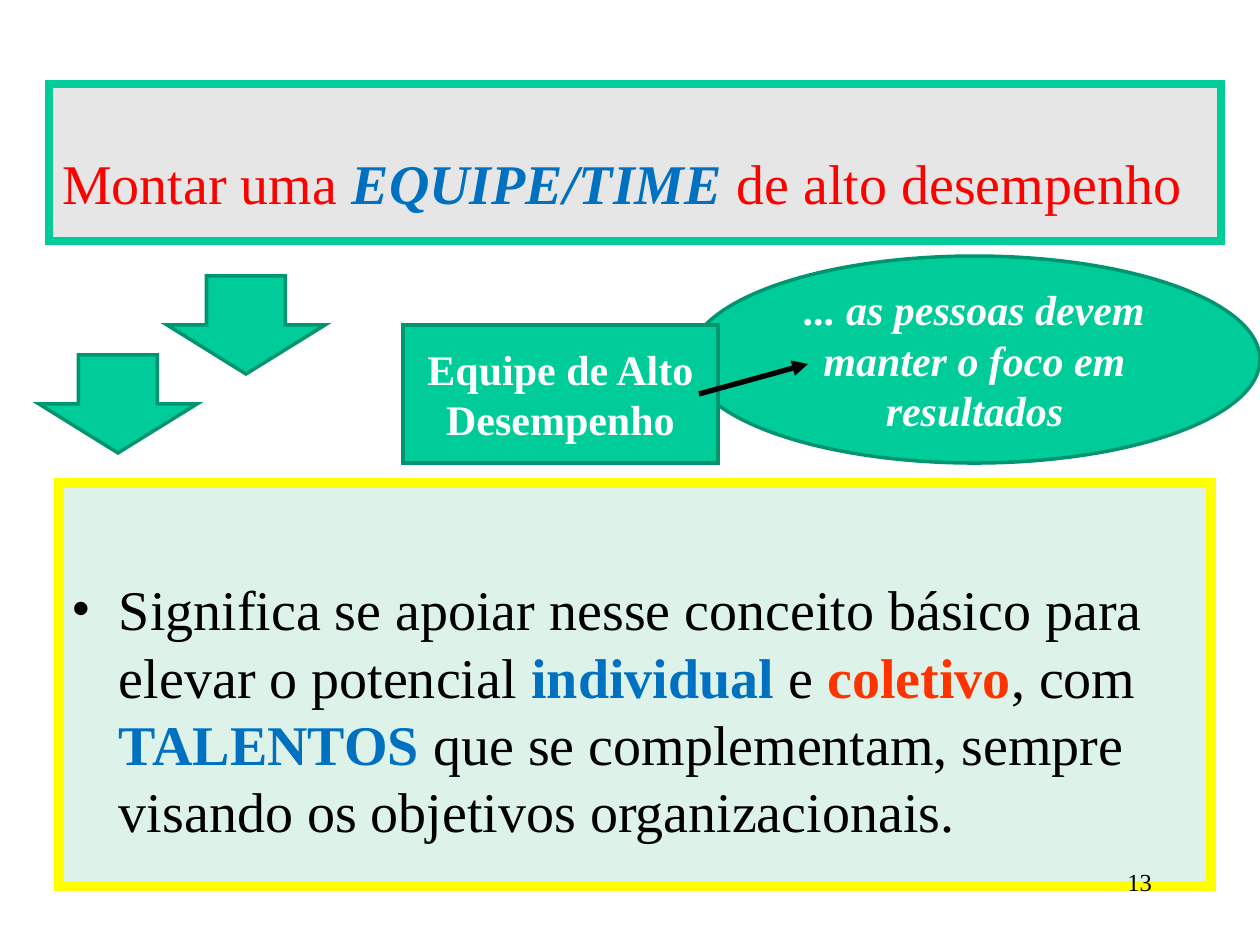
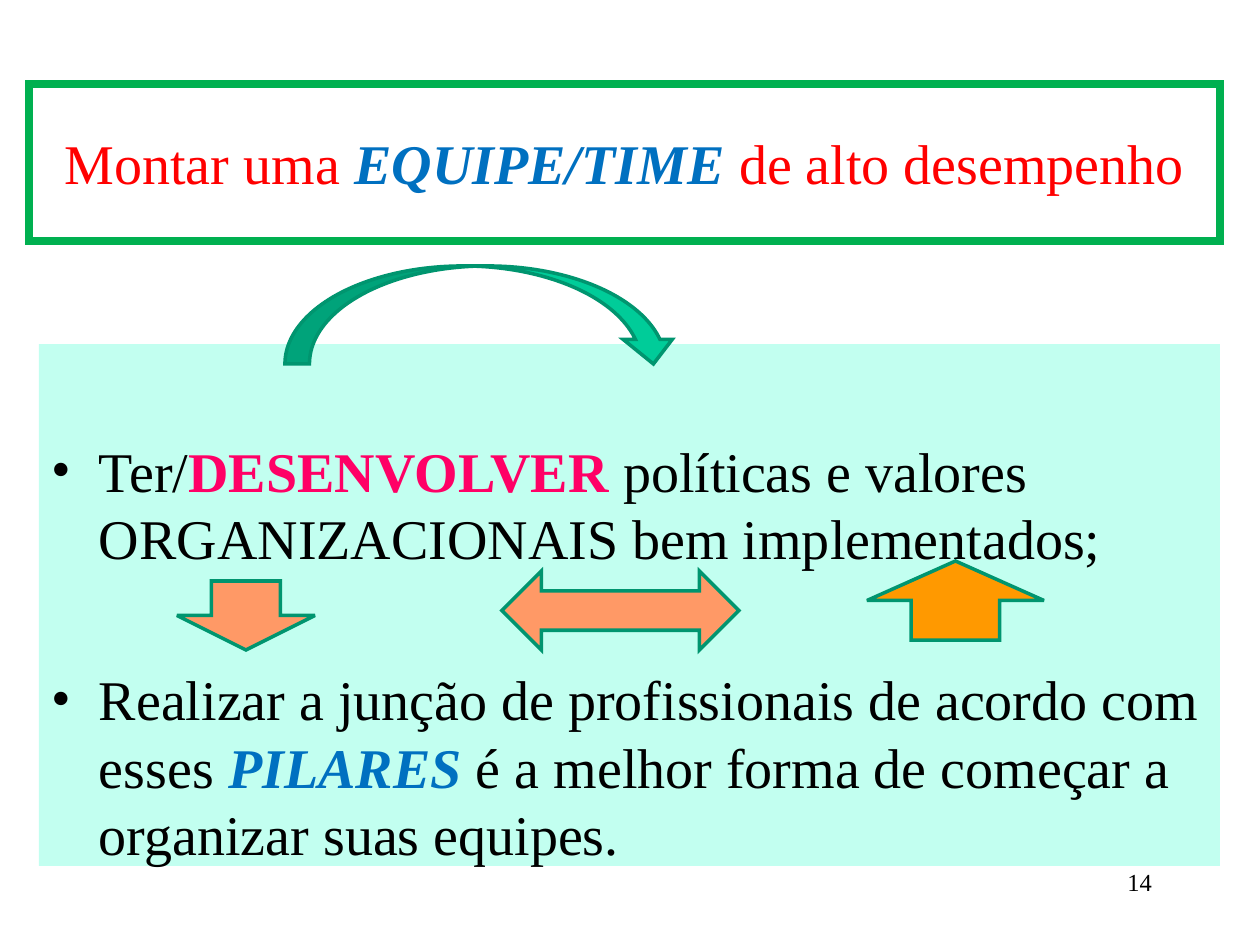
from collections import namedtuple
from dataclasses import dataclass

from lxml import etree
from pptx import Presentation
from pptx import util as u
from pptx.dml.color import RGBColor
from pptx.enum import shapes, text
from pptx.oxml import ns

PX = 914400 / 126
Style = namedtuple("Style", "color bold italic", defaults=(False, False))


@dataclass(frozen=True)
class Theme:
    """Colours, font and type sizes shared by the slides."""

    font: str = "Times New Roman"
    body_size: int = 32
    label_size: int = 24
    number_size: int = 14
    black: str = "000000"
    white: str = "FFFFFF"
    red: str = "FF0000"
    blue: str = "0070C0"
    scarlet: str = "FF3300"
    pink: str = "FF0066"
    green: str = "00CC99"
    dark_green: str = "00956F"
    title_green: str = "00B050"
    gray: str = "E6E6E6"
    mint: str = "DDF3EA"
    aqua: str = "C2FFF0"
    yellow: str = "FFFF00"
    salmon: str = "FF9966"
    orange: str = "FF9900"


THEME = Theme()
PLAIN = Style(THEME.black)
TITLE = Style(THEME.red)
BLUE_BOLD = Style(THEME.blue, True)
BLUE_ITALIC = Style(THEME.blue, True, True)


class Box(namedtuple("Box", "left top width height")):
    """A rectangle in px."""

    def inner(self, left, top, width, height):
        """Return a box whose corner is offset from this one."""
        return Box(self.left + left, self.top + top, width, height)

    def emu(self):
        """Return the four lengths in EMU."""
        return [px(length) for length in self]


def px(length):
    """Turn px into EMU."""
    return u.Emu(round(length * PX))


def add_figure(slide, kind, box, fill=None, line=None, line_width=2):
    """Add a flat preset shape with mitred corners."""
    shape = slide.shapes.add_shape(kind, *box.emu())
    shape.shadow.inherit = False
    if fill:
        shape.fill.solid()
        shape.fill.fore_color.rgb = RGBColor.from_string(fill)
    else:
        shape.fill.background()
    if line:
        shape.line.color.rgb = RGBColor.from_string(line)
        shape.line.width = u.Pt(line_width)
        miter = etree.SubElement(shape.line._get_or_add_ln(), ns.qn("a:miter"))
        miter.set("lim", "800000")
    else:
        shape.line.fill.background()
    return shape


def set_frame(shape, anchor, insets=(13, 6, 13, 6)):
    """Prepare a wrapping text frame and return it."""
    frame = shape.text_frame
    frame.word_wrap = True
    frame.vertical_anchor = anchor
    frame.margin_left, frame.margin_top, frame.margin_right, frame.margin_bottom = map(px, insets)
    return frame


def add_runs(paragraph, runs, size, align):
    """Write styled runs into a paragraph."""
    paragraph.alignment = align
    for words, style in runs:
        run = paragraph.add_run()
        run.text = words
        run.font.name = THEME.font
        run.font.size = u.Pt(size)
        run.font.bold = style.bold
        run.font.italic = style.italic
        run.font.color.rgb = RGBColor.from_string(style.color)


def add_bullet(paragraph, indent):
    """Give a paragraph a round bullet and a hanging indent."""
    properties = paragraph._p.get_or_add_pPr()
    properties.set("marL", str(px(indent)))
    properties.set("indent", str(-px(indent)))
    color = etree.SubElement(properties, ns.qn("a:buClr"))
    etree.SubElement(color, ns.qn("a:srgbClr")).set("val", THEME.black)
    etree.SubElement(properties, ns.qn("a:buFont")).set("typeface", THEME.font)
    etree.SubElement(properties, ns.qn("a:buChar")).set("char", "•")


def add_title(slide, box, line, fill=None, insets=(6, 6, 6, 6)):
    """Add the framed title."""
    banner = add_figure(slide, shapes.MSO_SHAPE.RECTANGLE, box, fill, line, 4.5)
    frame = set_frame(banner, text.MSO_ANCHOR.MIDDLE, insets)
    runs = [("Montar uma ", TITLE), ("EQUIPE/TIME", BLUE_ITALIC), (" de alto desempenho", TITLE)]
    add_runs(frame.paragraphs[0], runs, THEME.body_size, text.PP_ALIGN.CENTER)


def add_body(slide, box, fill, bullets, line=None):
    """Add the panel of bulleted paragraphs."""
    panel = add_figure(slide, shapes.MSO_SHAPE.RECTANGLE, box, fill, line, 6)
    frame = set_frame(panel, text.MSO_ANCHOR.TOP, (13, 92, 13, 6))
    for index, runs in enumerate(bullets):
        paragraph = frame.add_paragraph() if index else frame.paragraphs[0]
        add_bullet(paragraph, 47)
        if index:
            paragraph.space_before = u.Pt(54)
        add_runs(paragraph, runs, THEME.body_size, text.PP_ALIGN.LEFT)


def add_number(slide, number):
    """Add the slide number at the lower right."""
    number_box = slide.shapes.add_textbox(*Box(903, 861, 262, 63).emu())
    frame = set_frame(number_box, text.MSO_ANCHOR.TOP)
    add_runs(frame.paragraphs[0], [(str(number), PLAIN)], THEME.number_size, text.PP_ALIGN.RIGHT)


def add_label(slide, kind, box, words, italic=False):
    """Add a green shape with a white centred label."""
    shape = add_figure(slide, kind, box, THEME.green, THEME.dark_green)
    frame = set_frame(shape, text.MSO_ANCHOR.MIDDLE)
    style = Style(THEME.white, True, italic)
    add_runs(frame.paragraphs[0], [(words, style)], THEME.label_size, text.PP_ALIGN.CENTER)


def add_pointer(slide, start, end):
    """Add a black line with an arrowhead at its end."""
    pointer = slide.shapes.add_connector(
        shapes.MSO_CONNECTOR.STRAIGHT, *map(px, start), *map(px, end))
    pointer.line.color.rgb = RGBColor.from_string(THEME.black)
    pointer.line.width = u.Pt(3)
    etree.SubElement(pointer.line._get_or_add_ln(), ns.qn("a:tailEnd")).set("type", "triangle")
    etree.SubElement(pointer._element.spPr, ns.qn("a:effectLst"))


def add_focus_diagram(slide, box):
    """Add the step arrows, the team box and the focus ellipse."""
    for left, top in ((0, 99), (128, 20)):
        add_figure(slide, shapes.MSO_SHAPE.DOWN_ARROW, box.inner(left, top, 158, 98),
                   THEME.green, THEME.dark_green)
    add_label(slide, shapes.MSO_SHAPE.OVAL, box.inner(650, 0, 571, 207),
              "... as pessoas devem manter o foco em resultados", italic=True)
    add_label(slide, shapes.MSO_SHAPE.RECTANGLE, box.inner(364, 69, 315, 138),
              "Equipe de Alto Desempenho")
    add_pointer(slide, (box.left + 660, box.top + 138), (box.left + 769, box.top + 108))


def add_policy_arrows(slide, box):
    """Add the arrows laid over the policy panel."""
    arrows = [
        (shapes.MSO_SHAPE.DOWN_ARROW, (138, 237, 138, 69), THEME.salmon),
        (shapes.MSO_SHAPE.LEFT_RIGHT_ARROW, (463, 227, 237, 79), THEME.salmon),
        (shapes.MSO_SHAPE.UP_ARROW, (828, 217, 177, 79), THEME.orange),
        (shapes.MSO_SHAPE.CURVED_DOWN_ARROW, (246, -78, 393, 98), THEME.green),
    ]
    for kind, place, fill in arrows:
        add_figure(slide, kind, box.inner(*place), fill, THEME.dark_green)


def build_team_slide(slide):
    """Build the slide on the high-performance team."""
    add_title(slide, Box(49, 84, 1172, 157), THEME.green, THEME.gray, (6, 46, 32, 6))
    concept = [
        ("Significa se apoiar nesse conceito básico para elevar o potencial ", PLAIN),
        ("individual ", BLUE_BOLD),
        ("e ", PLAIN),
        ("coletivo", Style(THEME.scarlet, True)),
        (", com ", PLAIN),
        ("TALENTOS", BLUE_BOLD),
        (" que se complementam, sempre visando os objetivos organizacionais.", PLAIN),
    ]
    add_body(slide, Box(59, 483, 1152, 403), THEME.mint, [concept], THEME.yellow)
    add_number(slide, 13)
    add_focus_diagram(slide, Box(39, 256, 1221, 207))


def build_policy_slide(slide):
    """Build the slide on policies and values."""
    panel = Box(39, 344, 1181, 522)
    add_title(slide, Box(29, 84, 1191, 157), THEME.title_green)
    policies = [
        ("Ter/", PLAIN),
        ("DESENVOLVER", Style(THEME.pink, True)),
        (" políticas e valores ORGANIZACIONAIS bem implementados;", PLAIN),
    ]
    pillars = [
        ("Realizar a junção de profissionais de acordo com esses ", PLAIN),
        ("PILARES", BLUE_ITALIC),
        (" é a melhor forma de começar a organizar suas equipes.", PLAIN),
    ]
    add_body(slide, panel, THEME.aqua, [policies, pillars])
    add_number(slide, 14)
    add_policy_arrows(slide, panel)


def main():
    """Build and save the presentation."""
    presentation = Presentation()
    presentation.slide_width, presentation.slide_height = px(1260), px(945)
    for build in (build_team_slide, build_policy_slide):
        build(presentation.slides.add_slide(presentation.slide_layouts[6]))
    presentation.save("out.pptx")


if __name__ == "__main__":
    main()
